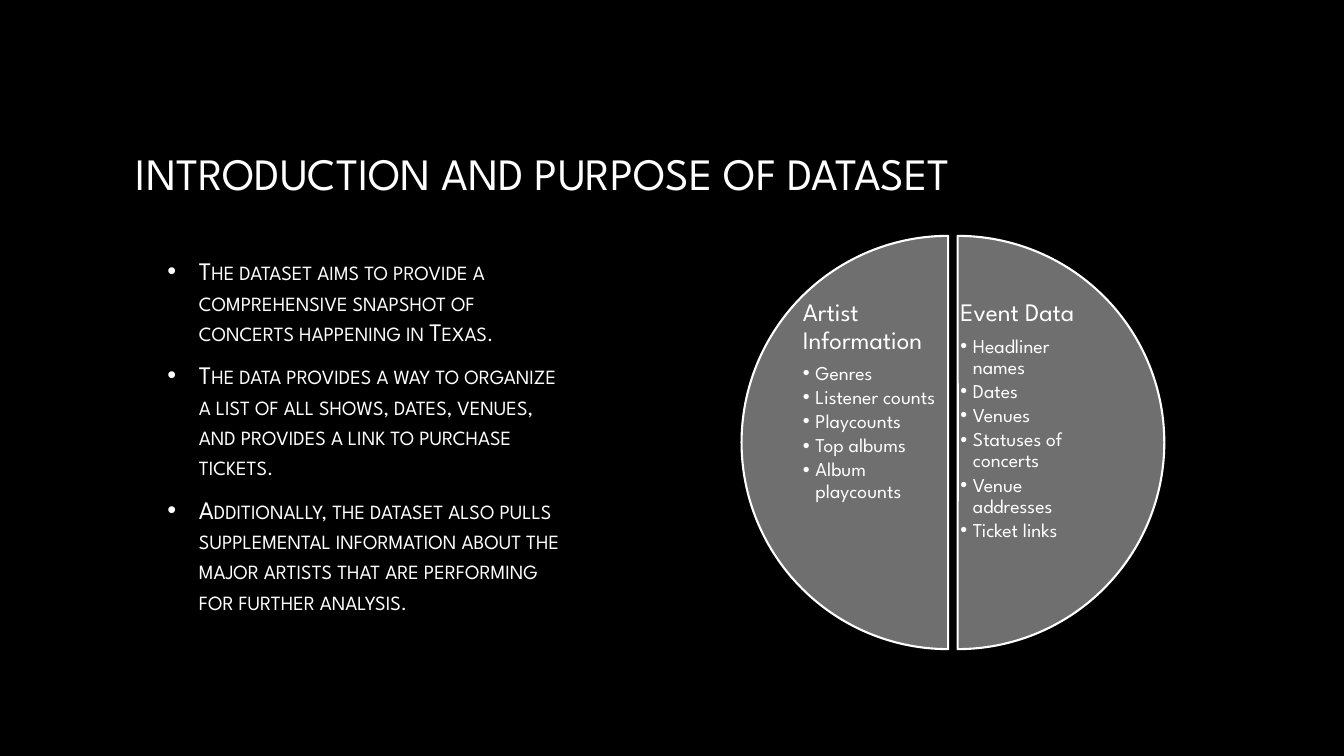
from lxml.etree import SubElement
from pptx import Presentation
from pptx.dml.color import RGBColor
from pptx.enum.shapes import MSO_SHAPE
from pptx.enum.text import MSO_ANCHOR
from pptx.oxml.ns import qn
from pptx.util import Pt

BLACK = RGBColor(0x00, 0x00, 0x00)
WHITE = RGBColor(0xFF, 0xFF, 0xFF)
GREY = RGBColor(0x6F, 0x6F, 0x6F)

INTRODUCTION = [
    "The dataset aims to provide a comprehensive snapshot of concerts happening in Texas.",
    "The data provides a way to organize a list of all shows, dates, venues, "
    "and provides a link to purchase tickets.",
    "Additionally, the dataset also pulls supplemental information about the "
    "major artists that are performing for further analysis.",
]
EVENT_DATA = ["Headliner names", "Dates", "Venues", "Statuses of concerts",
              "Venue addresses", "Ticket links"]
ARTIST_INFORMATION = ["Genres", "Listener counts", "Playcounts", "Top albums",
                      "Album playcounts"]

# Pie angles in units of 1/100000 of the stored value: top and bottom of the circle
TOP, BOTTOM = 162, 54


class SlideBuilder:
    font = "League Spartan"

    def __init__(self, page):
        self.page = page
        page.background.fill.solid()
        page.background.fill.fore_color.rgb = BLACK

    def box(self, left, top, width, height, lines, anchor=MSO_ANCHOR.TOP, inset=None):
        """Add a text box with one paragraph per line; return its paragraphs."""
        frame = self.page.shapes.add_textbox(
            Pt(left), Pt(top), Pt(width), Pt(height)).text_frame
        frame.word_wrap = True
        frame.vertical_anchor = anchor
        if inset is not None:
            frame.margin_left = frame.margin_right = Pt(inset)
            frame.margin_top = frame.margin_bottom = Pt(inset)
        frame.text = "\n".join(lines)
        return frame.paragraphs

    def style(self, para, size, before=0, after=0, spacing=1.0, small_caps=False):
        para.line_spacing = spacing
        para.space_before, para.space_after = Pt(before), Pt(after)
        for span in para.runs:
            span.font.name = self.font
            span.font.size = Pt(size)
            span.font.color.rgb = WHITE
            if small_caps:
                span.font._element.set("cap", "small")

    def bullet(self, para, indent):
        properties = para._p.get_or_add_pPr()
        properties.set("marL", str(Pt(indent)))
        properties.set("indent", str(-Pt(indent)))
        colour = SubElement(properties, qn("a:buClr"))
        SubElement(colour, qn("a:srgbClr"), val=str(WHITE))
        SubElement(properties, qn("a:buFont"), typeface="Arial")
        SubElement(properties, qn("a:buChar"), char="•")

    def title(self, text):
        [para] = self.box(90, 48, 780, 150, [text], MSO_ANCHOR.MIDDLE)
        self.style(para, 32)

    def bullet_list(self, left, top, width, height, lines):
        for para in self.box(left, top, width, height, lines):
            self.style(para, 18, before=3.6, after=6, small_caps=True)
            self.bullet(para, 22.5)

    def half_circle(self, left, start, end):
        half = self.page.shapes.add_shape(
            MSO_SHAPE.PIE, Pt(left), Pt(168.5), Pt(295.2), Pt(295.2))
        half.adjustments[0], half.adjustments[1] = start, end
        half.shadow.inherit = False
        half.fill.solid()
        half.fill.fore_color.rgb = GREY
        half.line.color.rgb = WHITE
        half.line.width = Pt(1.5)

    def topic(self, left, heading, items):
        heading_para, *item_paras = self.box(
            left, 212.4, 103.7, 207.4, [heading, *items], inset=2)
        self.style(heading_para, 18, after=6.3, spacing=0.9)
        for para in item_paras:
            self.style(para, 14, after=2.1, spacing=0.9)
            self.bullet(para, 9)


def main():
    deck = Presentation()
    deck.slide_width, deck.slide_height = Pt(960), Pt(540)
    builder = SlideBuilder(deck.slides.add_slide(deck.slide_layouts[6]))

    # Title and introduction
    builder.title("INTRODUCTION AND PURPOSE OF DATASET")
    builder.bullet_list(112.5, 179, 303, 275, INTRODUCTION)

    # Right half: events
    builder.half_circle(536.5, TOP, BOTTOM)
    builder.topic(684, "Event Data", EVENT_DATA)

    # Left half: artists
    builder.half_circle(529.7, BOTTOM, TOP)
    builder.topic(571.5, "Artist Information", ARTIST_INFORMATION)

    deck.save("out.pptx")


if __name__ == "__main__":
    main()
